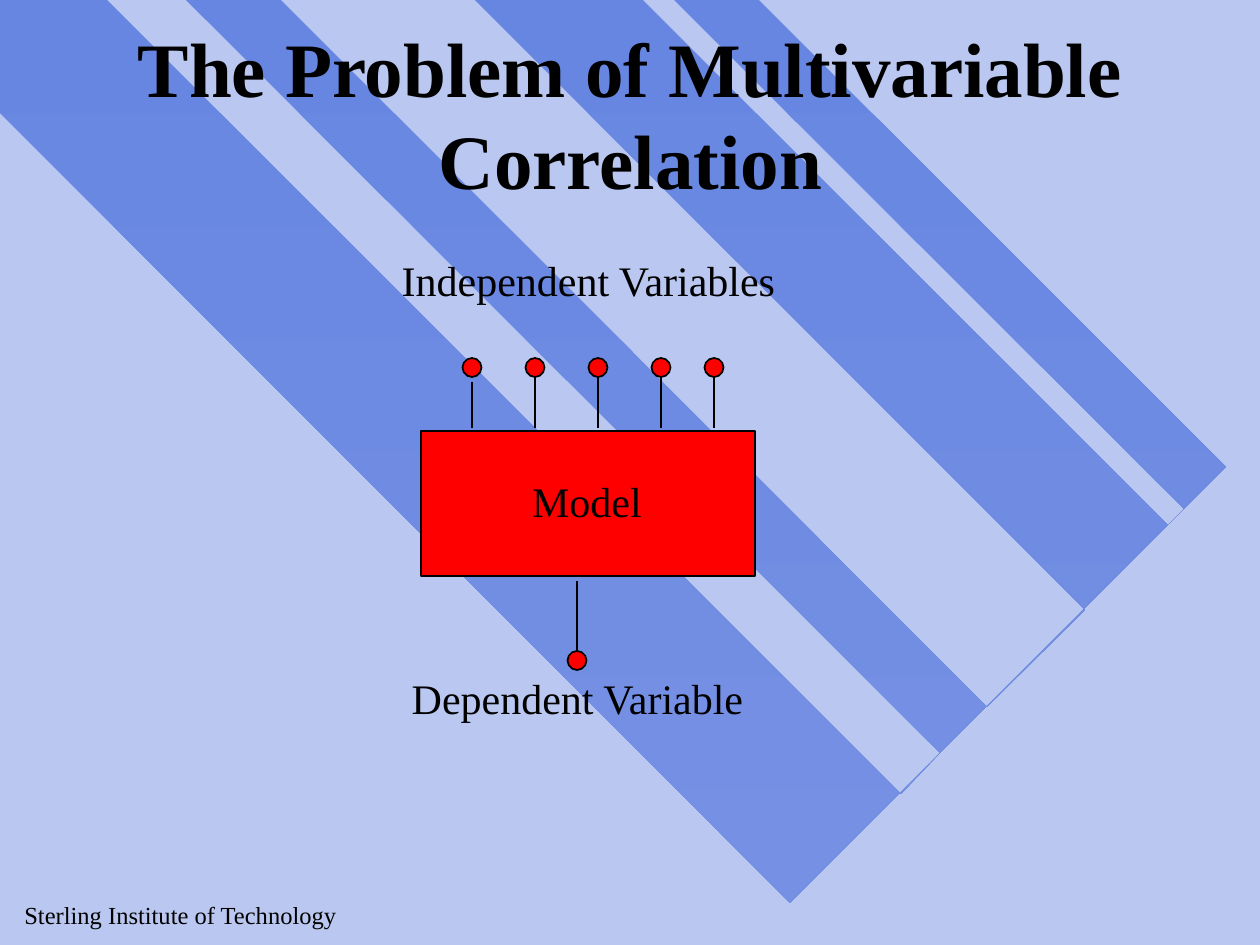
from collections import namedtuple

from lxml.etree import SubElement
from pptx import Presentation
from pptx.dml.color import RGBColor
from pptx.enum.shapes import MSO_CONNECTOR, MSO_SHAPE
from pptx.enum.text import MSO_ANCHOR, PP_ALIGN
from pptx.oxml.ns import qn
from pptx.util import Emu, Pt

EMU_PER_PX = 914400 / 126
FONT = "Times New Roman"
BACKGROUND = RGBColor(0xBA, 0xC8, 0xF1)
BAND_TOP = RGBColor(0x67, 0x86, 0xE1)
BAND_BOTTOM = RGBColor(0x76, 0x91, 0xE3)
RED = RGBColor(0xFF, 0x00, 0x00)
BLACK = RGBColor(0x00, 0x00, 0x00)

BAND_OUTLINE = [
    (1226, 467), (759, 0), (674, 0), (1184, 509), (1168, 525), (643, 0),
    (475, 0), (1085, 610), (987, 707), (281, 0), (186, 0), (940, 753),
    (901, 794), (107, 0), (0, 0), (0, 113), (790, 903),
]
DOT_SIZE = 19

Box = namedtuple("Box", "left top width height")


def px(length):
    return Emu(round(length * EMU_PER_PX))


def inside(box, left, top, width, height):
    """Turn a place relative to box into a place on the slide."""
    return Box(box.left + left, box.top + top, width, height)


def add_text(slide, box, text, size, align=PP_ALIGN.CENTER,
             anchor=MSO_ANCHOR.TOP, bold=False, wrap=True):
    frame = slide.shapes.add_textbox(*map(px, box)).text_frame
    frame.word_wrap = wrap
    frame.vertical_anchor = anchor
    frame.text = text
    para = frame.paragraphs[0]
    para.alignment = align
    font = para.runs[0].font
    font.name = FONT
    font.size = Pt(size)
    font.bold = bold
    font.color.rgb = BLACK


def add_red_shape(slide, kind, box):
    shape = slide.shapes.add_shape(kind, *map(px, box))
    shape.shadow.inherit = False
    shape.fill.solid()
    shape.fill.fore_color.rgb = RED
    shape.line.color.rgb = BLACK
    shape.line.width = Pt(1)


def add_stem(slide, box, x, top, bottom):
    """Draw a vertical line at x, relative to box."""
    x = px(box.left + x)
    stem = slide.shapes.add_connector(
        MSO_CONNECTOR.STRAIGHT, x, px(box.top + top), x, px(box.top + bottom))
    stem.line.color.rgb = BLACK
    stem.line.width = Pt(1)
    SubElement(stem._element.spPr, qn("a:effectLst"))


def add_dot(slide, box, x, top):
    """Draw a dot centred on x, relative to box."""
    dot = inside(box, x - DOT_SIZE / 2, top, DOT_SIZE, DOT_SIZE)
    add_red_shape(slide, MSO_SHAPE.OVAL, dot)


def add_bands(slide, box):
    builder = slide.shapes.build_freeform(*BAND_OUTLINE[0], scale=EMU_PER_PX)
    builder.add_line_segments(BAND_OUTLINE[1:], close=True)
    bands = builder.convert_to_shape(px(box.left), px(box.top))
    bands.shadow.inherit = False
    bands.line.fill.background()
    bands.fill.gradient()
    bands.fill.gradient_angle = 270
    for stop, color in zip(bands.fill.gradient_stops, (BAND_TOP, BAND_BOTTOM)):
        stop.color.rgb = color


def add_model_diagram(slide, box):
    add_red_shape(slide, MSO_SHAPE.RECTANGLE, inside(box, 38, 183, 334, 145))
    for x, stem_top in ((89, 134), (152, 127), (215, 127), (278, 127), (331, 127)):
        add_stem(slide, box, x, stem_top, 180)
        add_dot(slide, box, x, 110)
    add_stem(slide, box, 194, 333, 406)
    add_dot(slide, box, 194, 403)
    add_text(slide, inside(box, 116, 221, 176, 63), "Model", 24)
    add_text(slide, inside(box, 0, 0, 411, 63), "Independent Variables", 24)
    add_text(slide, inside(box, 14, 418, 361, 63), "Dependent Variable", 24,
             wrap=False)


def main():
    deck = Presentation()
    deck.slide_width, deck.slide_height = px(1260), px(945)
    slide = deck.slides.add_slide(deck.slide_layouts[6])
    slide.background.fill.solid()
    slide.background.fill.fore_color.rgb = BACKGROUND

    add_bands(slide, Box(0, 0, 1226, 903))
    add_text(slide, Box(12, 894, 338, 42), "Sterling Institute of Technology", 14,
             align=PP_ALIGN.LEFT, anchor=MSO_ANCHOR.MIDDLE, wrap=False)
    add_text(slide, Box(95, 34, 1071, 158),
             "The Problem of Multivariable Correlation", 44,
             anchor=MSO_ANCHOR.MIDDLE, bold=True)
    add_model_diagram(slide, Box(383, 248, 411, 481))
    deck.save("out.pptx")


if __name__ == "__main__":
    main()
